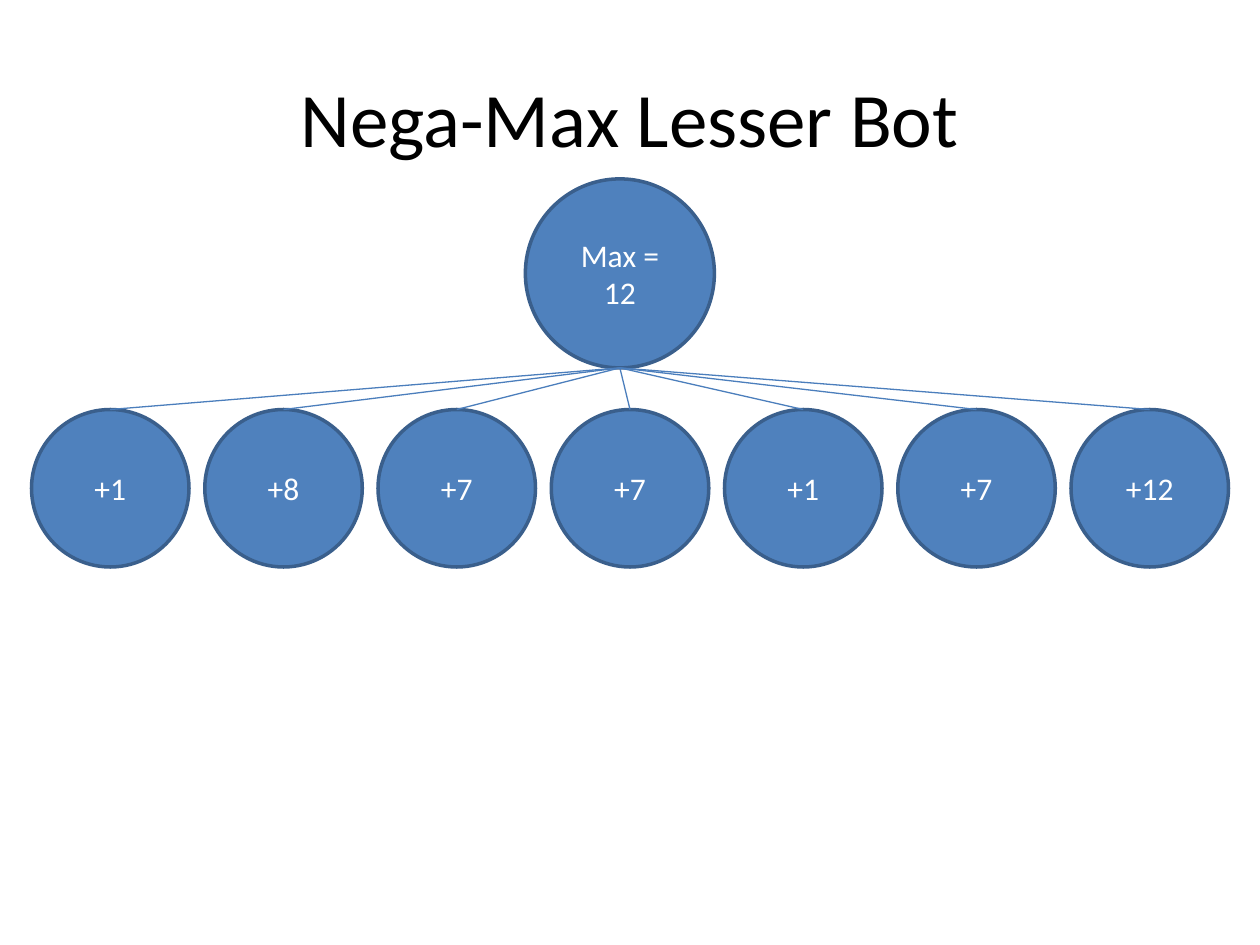
from lxml import etree
from pptx import Presentation
from pptx.dml.color import RGBColor
from pptx.enum.shapes import MSO_CONNECTOR, MSO_SHAPE
from pptx.enum.text import MSO_ANCHOR, PP_ALIGN
from pptx.oxml.ns import qn
from pptx.util import Inches, Pt

ELLIPSE = MSO_SHAPE.OVAL
STRAIGHT = MSO_CONNECTOR.STRAIGHT
MIDDLE = MSO_ANCHOR.MIDDLE
CENTER = PP_ALIGN.CENTER
TITLE_ONLY = 5

SCORES = ["+1", "+8", "+7", "+7", "+1", "+7", "+12"]
ROOT_LEFT, ROOT_TOP, ROOT_SIZE = 4.17, 1.42, 1.5
LEAF_LEFT, LEAF_TOP, LEAF_SIZE = 0.25, 3.25, 1.25
LEAF_STEP = (10 - 2 * LEAF_LEFT - LEAF_SIZE) / (len(SCORES) - 1)


def color(value):
    """Turn a hex string into a colour."""
    return RGBColor.from_string(value)


def place(shape, left, top, width, height):
    """Set the position and size of a shape in inches."""
    bounds = {"left": left, "top": top, "width": width, "height": height}
    for name, value in bounds.items():
        setattr(shape, name, Inches(value))


def write_text(shape, text, size, text_color):
    """Write one centred paragraph in the middle of a shape."""
    frame = shape.text_frame
    frame.word_wrap = True
    frame.vertical_anchor = MIDDLE
    paragraph = frame.paragraphs[0]
    paragraph.alignment = CENTER
    span = paragraph.add_run()
    span.text = text
    for name, value in {"name": "Calibri", "size": Pt(size)}.items():
        setattr(span.font, name, value)
    span.font.color.rgb = color(text_color)


def style_line(line, line_color, width):
    """Set the colour and width of a line."""
    line.color.rgb = color(line_color)
    line.width = Pt(width)


def add_title(slide, text):
    """Place and fill the title."""
    title = slide.shapes.title
    place(title, 0.5, 0.3, 9, 1.25)
    write_text(title, text, 44, "000000")


def add_node(slide, text, left, top, size):
    """Add a round tree node."""
    node = slide.shapes.add_shape(
        ELLIPSE, Inches(left), Inches(top), Inches(size), Inches(size))
    node.shadow.inherit = False
    node.fill.solid()
    node.fill.fore_color.rgb = color("4F81BD")
    style_line(node.line, "3A5F8C", 2)
    write_text(node, text, 18, "FFFFFF")
    return node


def add_branch(slide, parent, child):
    """Draw a line from the bottom of a parent node to the top of its child."""
    branch = slide.shapes.add_connector(
        STRAIGHT,
        parent.left + parent.width // 2, parent.top + parent.height,
        child.left + child.width // 2, child.top)
    style_line(branch.line, "4B7EBC", 0.75)
    etree.SubElement(branch.element.spPr, qn("a:effectLst"))


def main():
    """Build the game tree slide."""
    deck = Presentation()
    deck.slide_width, deck.slide_height = Inches(10), Inches(7.5)
    slide = deck.slides.add_slide(deck.slide_layouts[TITLE_ONLY])
    add_title(slide, "Nega-Max Lesser Bot")
    root = add_node(slide, "Max = 12", ROOT_LEFT, ROOT_TOP, ROOT_SIZE)
    leaves = [
        add_node(slide, score, LEAF_LEFT + index * LEAF_STEP, LEAF_TOP, LEAF_SIZE)
        for index, score in enumerate(SCORES)
    ]
    for leaf in leaves:
        add_branch(slide, root, leaf)
    deck.save("out.pptx")


main()
